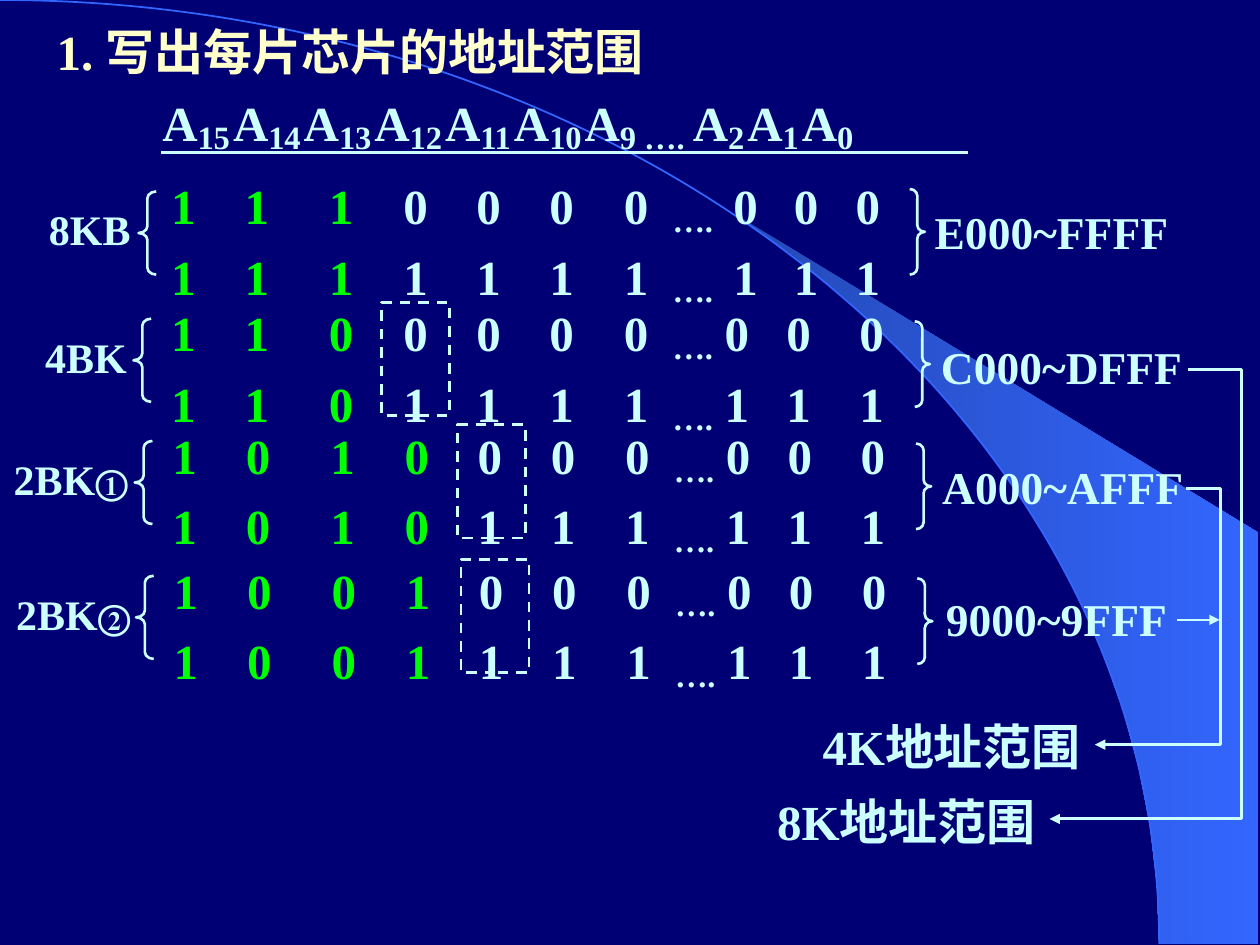
import math

import lxml.etree
import pptx
import pptx.dml.color
import pptx.enum.dml
import pptx.enum.shapes
import pptx.enum.text
import pptx.oxml.ns
import pptx.util

Inches, Pt = pptx.util.Inches, pptx.util.Pt
SHAPE = pptx.enum.shapes.MSO_SHAPE
ICE, GREEN, CREAM, BLUE = "CCFFFF", "00FF00", "FFFFCC", "3366FF"
SUB = -14000
STOPS = [0.68, 1.35, 1.94, 2.52, 3.1, 3.69, 4.14]


def rgb(code):
    """Turn a hex string into a colour."""
    return pptx.dml.color.RGBColor.from_string(code)


def add_tag(parent, name, **attrs):
    """Append a drawing element to its parent."""
    return lxml.etree.SubElement(parent, pptx.oxml.ns.qn(name), attrs)


def add_run(para, text, size, color=ICE, base=0):
    """Add one bold run, lowered when a baseline is given."""
    run = para.add_run()
    run.text = text
    font = run.font
    font.name, font.size, font.bold = "Times New Roman", Pt(size), True
    font.color.rgb = rgb(color)
    if base:
        run._r.get_or_add_rPr().set("baseline", str(base))


def add_text(slide, box, lines, stops=()):
    """Add a text box of lines, each a list of run settings."""
    frame = slide.shapes.add_textbox(*map(Inches, box)).text_frame
    frame.word_wrap = True
    for i, line in enumerate(lines):
        para = frame.add_paragraph() if i else frame.paragraphs[0]
        para.space_before = Pt(0 if i else 2.5)
        if stops:
            tabs = add_tag(para._p.get_or_add_pPr(), "a:tabLst")
            for stop in stops:
                add_tag(tabs, "a:tab", pos=str(Inches(stop)), algn="ctr")
        for run in line:
            add_run(para, *run)


def set_line(shape, width=1.5, color=ICE, arrow=False):
    """Set the line of a shape and its arrowhead."""
    shape.line.color.rgb = rgb(color)
    shape.line.width = Pt(width)
    if arrow:
        add_tag(shape.line._get_or_add_ln(), "a:tailEnd", type="triangle")


def add_frame(slide, kind, box, bend=None):
    """Add an unfilled outline shape."""
    shape = slide.shapes.add_shape(kind, *map(Inches, box))
    shape.shadow.inherit = False
    shape.fill.background()
    set_line(shape)
    if bend:
        shape.adjustments[0] = bend
    return shape


def add_free(slide, points, close=False):
    """Add a freeform through points in inches."""
    spots = [(Inches(x), Inches(y)) for x, y in points]
    pen = slide.shapes.build_freeform(*spots[0])
    pen.add_line_segments(spots[1:], close=close)
    shape = pen.convert_to_shape()
    shape.shadow.inherit = False
    shape.fill.background()
    return shape


def add_rule(slide, left, right, top, arrow=False):
    """Add a level straight line."""
    rule = slide.shapes.add_connector(
        pptx.enum.shapes.MSO_CONNECTOR.STRAIGHT,
        Inches(left), Inches(top), Inches(right), Inches(top))
    set_line(rule, arrow=arrow)
    add_tag(rule._element.spPr, "a:effectLst")


def add_arc(slide, left, top, width, height):
    """Draw the shaded wedge and the quarter ellipse behind the text."""
    start, steps = 0.69, 14
    turns = [start + (math.pi / 2 - start) * i / steps for i in range(steps + 1)]
    rim = [(left + width * math.sin(t), top + height * (1 - math.cos(t)))
           for t in turns]
    wedge = add_free(slide, rim + [(9.99, 7.49), (9.99, 4.23)], True)
    wedge.fill.gradient()
    wedge.fill.gradient_angle = 0
    for stop, color in zip(wedge.fill.gradient_stops, ("2449B6", BLUE)):
        stop.color.rgb = rgb(color)
    wedge.line.fill.background()

    arc = add_free(slide, [(left, top), (left + width, top + height)])
    chord = next(arc._element.iter(pptx.oxml.ns.qn("a:lnTo")))
    curve = add_tag(chord.getparent(), "a:cubicBezTo")
    for x, y in ((0.55, 0), (1, 0.45), (1, 1)):
        add_tag(curve, "a:pt", x=str(Inches(width * x)), y=str(Inches(height * y)))
    chord.getparent().remove(chord)
    set_line(arc, 1, BLUE)


def add_title(slide, left, top, width, height):
    """Place and format the title in front of the arc."""
    title = slide.shapes.title
    title._element.getparent().append(title._element)
    title.left, title.top = Inches(left), Inches(top)
    title.width, title.height = Inches(width), Inches(height)
    frame = title.text_frame
    frame.word_wrap = True
    frame.auto_size = pptx.enum.text.MSO_AUTO_SIZE.NONE
    frame.vertical_anchor = pptx.enum.text.MSO_ANCHOR.TOP
    para = frame.paragraphs[0]
    para.alignment = pptx.enum.text.PP_ALIGN.LEFT
    add_run(para, "1. 写出每片芯片的地址范围", 28, CREAM)


def add_head(slide, left, top, width, height):
    """Write the address line names above their rule."""
    runs = []
    for bit in (15, 14, 13, 12, 11, 10, 9, 2, 1, 0):
        runs += [("A", 28), ("9 …. " if bit == 9 else str(bit), 32, ICE, SUB)]
        if bit not in (9, 0):
            runs.append((" ", 12, ICE, SUB))
    add_text(slide, (left, top, width, height), [runs])
    add_rule(slide, left + 0.09, left + 6.49, top + 0.58)


def add_chip(slide, left, top, name, place, fixed, ends, span, tell,
             shut=(6, 0.25), hook=-0.2, mark=None):
    """Write one chip: name, braces, first and last address, and range."""
    lines = []
    for bit in "01":
        free = [bit] * (7 - len(fixed))
        lines.append([("\t".join(fixed), 28, GREEN),
                      ("\t" + "\t".join(free) + "\t", 28),
                      ("….", 32, ICE, SUB),
                      ("\t" + "\t".join(bit * 3), 28)])
    add_text(slide, (left, top, 6.5, 1.03), lines, STOPS + ends)
    if mark:
        box = add_frame(slide, SHAPE.RECTANGLE, (left + mark, top + 0.1, 0.54, 0.9))
        box.line.dash_style = pptx.enum.dml.MSO_LINE.DASH
    add_frame(slide, SHAPE.LEFT_BRACE, (left + hook, top + 0.23, 0.14, 0.66), 0.39)
    add_frame(slide, SHAPE.RIGHT_BRACE,
              (left + shut[0], top + shut[1], 0.12, 0.68), 0.45)
    label = [(name[:3], 24)] + [(ring, 20) for ring in name[3:]]
    add_text(slide, (place, top + 0.28, 1.2, 0.5), [label])
    add_text(slide, (left + tell[0], top + tell[1], 2.14, 0.53), [[(span, 26)]])


def add_link(slide, left, top, right, low, start, text):
    """Lead a bent arrow from a range to its total below."""
    bend = add_free(slide, [(start, top), (right, top), (right, low), (left, low)])
    set_line(bend, 1.75, arrow=True)
    add_text(slide, (left - 2.26, low - 0.27, 2.57, 0.57), [[(text, 28)]])


def main():
    """Build the slide and save it."""
    deck = pptx.Presentation()
    deck.slide_width, deck.slide_height = Inches(10), Inches(7.5)
    slide = deck.slides.add_slide(deck.slide_layouts[5])
    slide.background.fill.solid()
    slide.background.fill.fore_color.rgb = rgb("000074")
    add_arc(slide, 0, 0, 9.2, 7.49)
    add_title(slide, 0.35, 0.12, 4.89, 1.05)
    add_head(slide, 1.19, 0.63, 6.97, 0.57)
    near, far = [4.56, 5.04, 5.53], [4.49, 4.98, 5.56]
    add_chip(slide, 1.26, 1.29, "8KB", 0.29, "111", near, "E000~FFFF",
             (6.06, 0.28), (5.96, 0.21), -0.16)
    add_chip(slide, 1.26, 2.3, "4BK", 0.26, "110", far, "C000~DFFF",
             (6.11, 0.34), mark=1.77)
    add_chip(slide, 1.27, 3.27, "2BK①", 0.01, "1010", far, "A000~AFFF",
             (6.11, 0.32), mark=2.36)
    add_chip(slide, 1.28, 4.34, "2BK②", 0.03, "1001", far, "9000~9FFF",
             (6.13, 0.3), mark=2.38)
    add_link(slide, 8.33, 2.93, 9.85, 6.5, 9.43, "8K地址范围")
    add_link(slide, 8.69, 3.88, 9.69, 5.91, 9.41, "4K地址范围")
    add_rule(slide, 9.34, 9.68, 4.92, arrow=True)
    deck.save("out.pptx")


if __name__ == "__main__":
    main()
